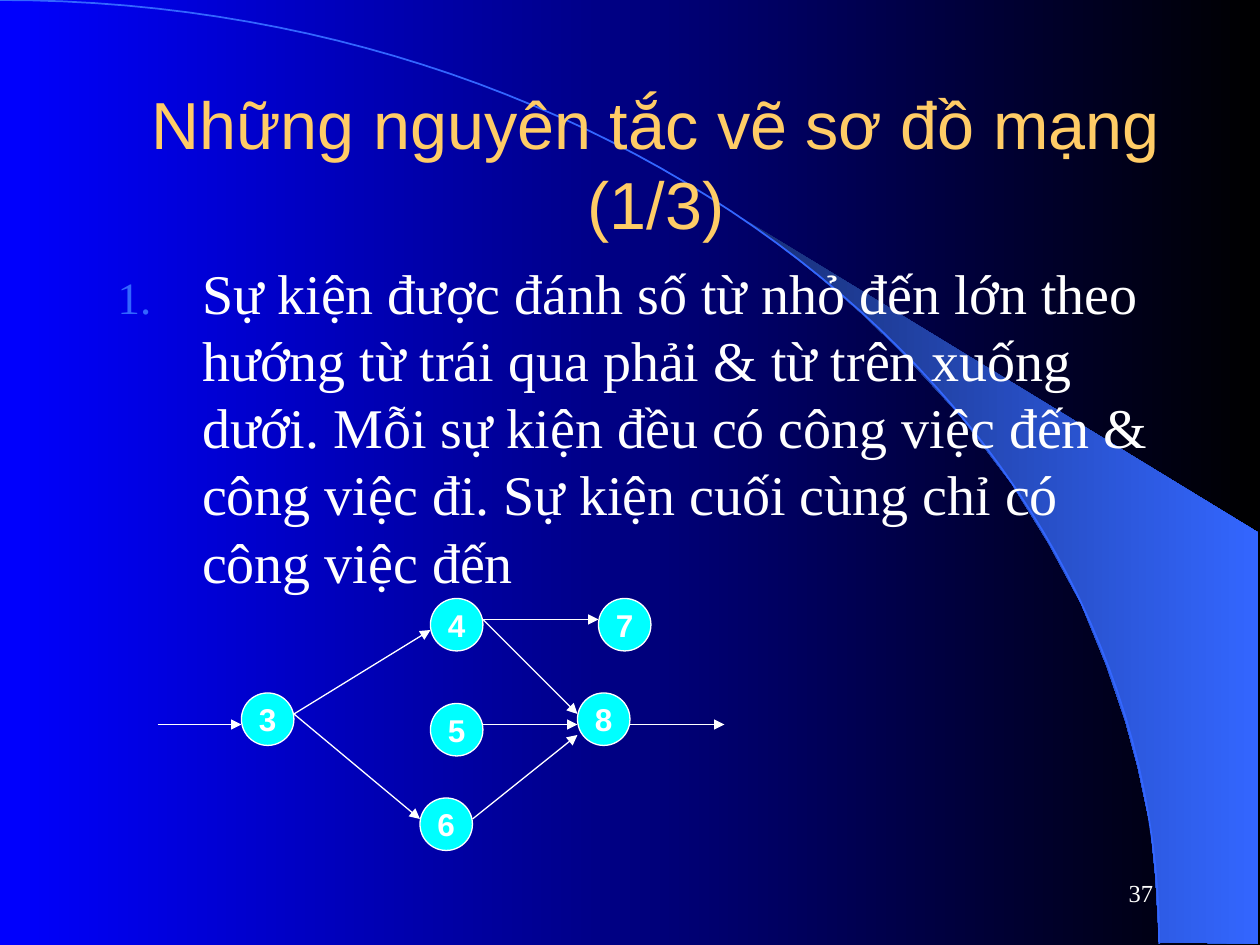
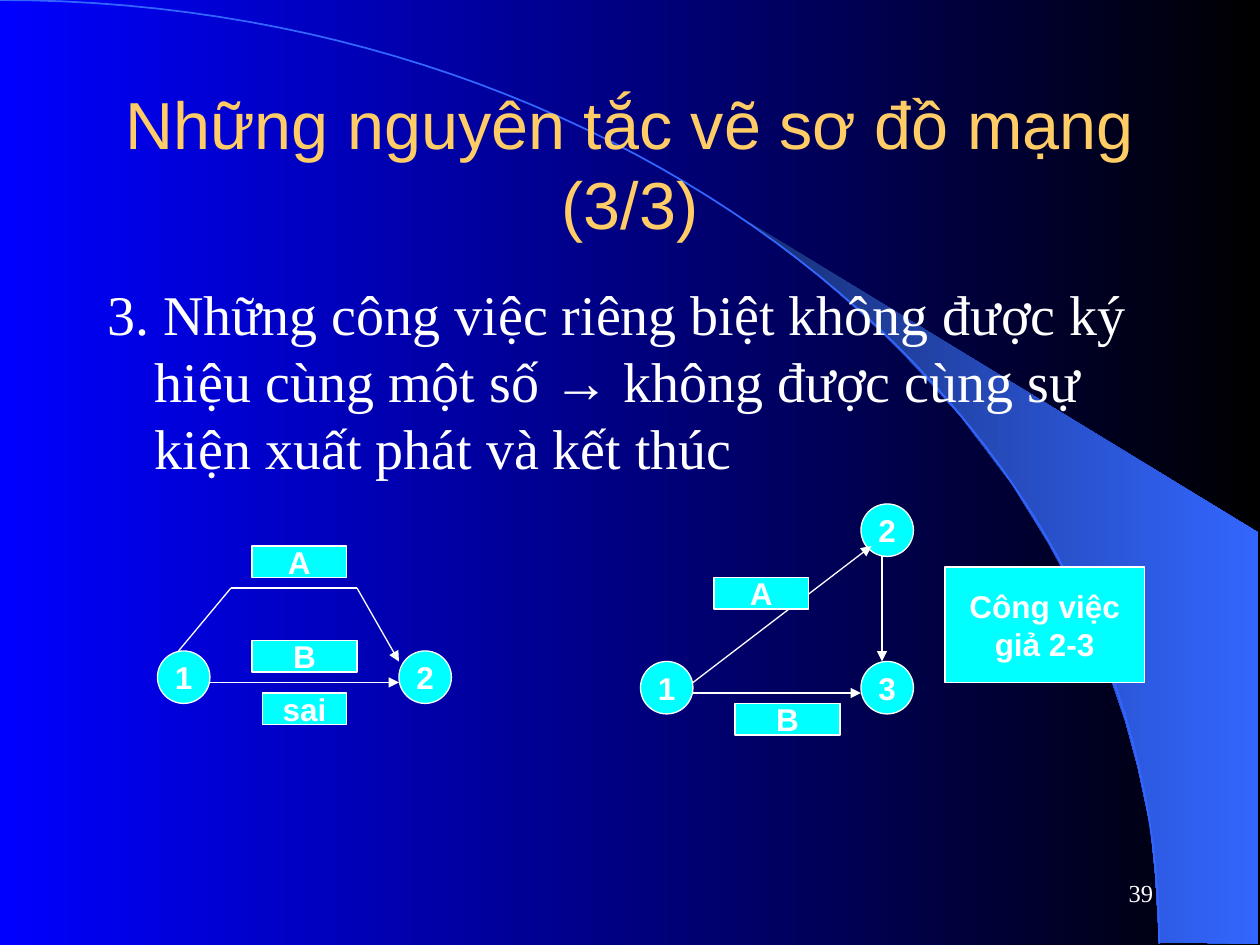
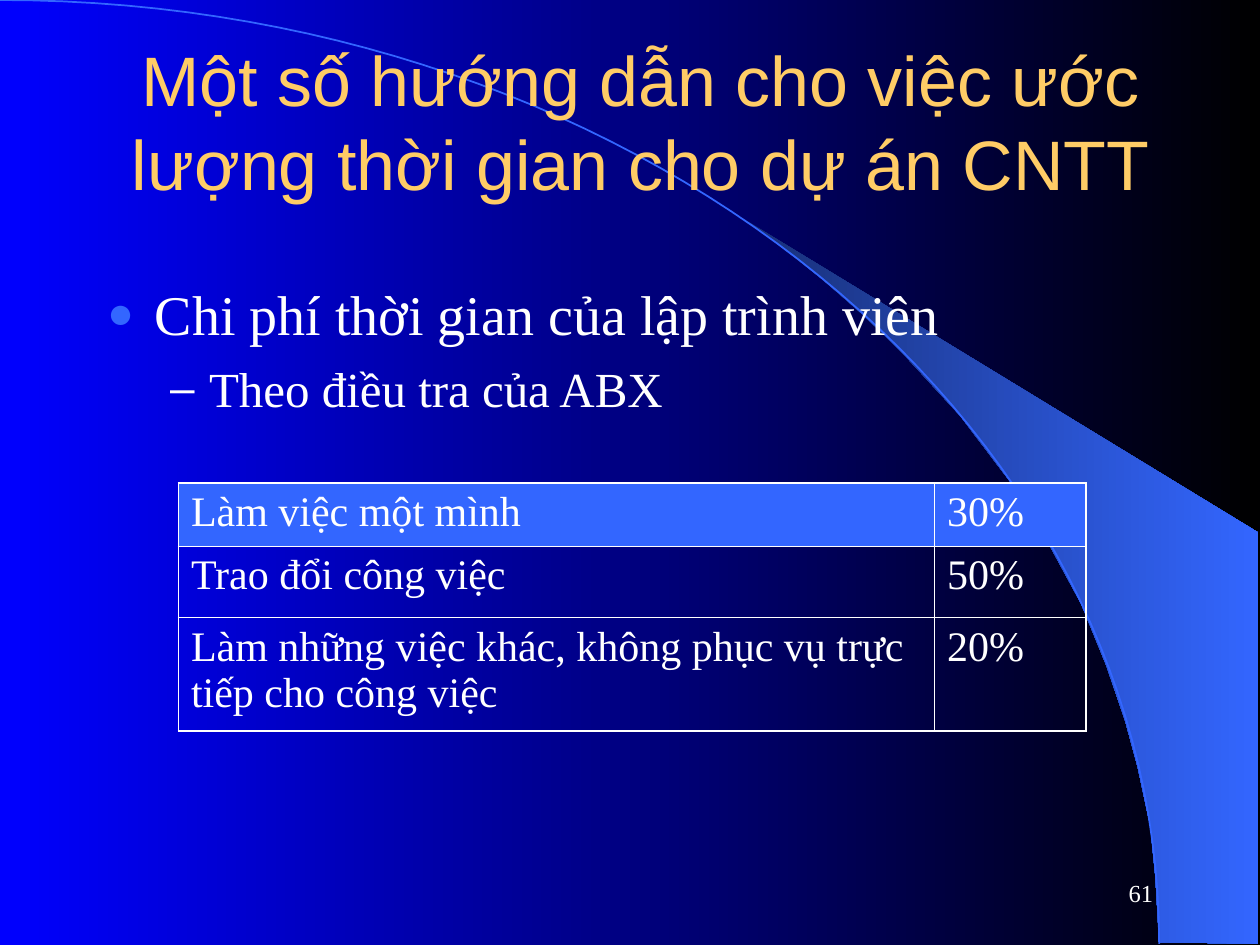
import dataclasses

import lxml.etree
import pptx
import pptx.dml.color
import pptx.enum.shapes
import pptx.enum.text
import pptx.oxml.ns
import pptx.util

SHAPES = pptx.enum.shapes.MSO_SHAPE
ALIGN = pptx.enum.text.PP_ALIGN
ANCHOR = pptx.enum.text.MSO_ANCHOR
AUTO_SIZE = pptx.enum.text.MSO_AUTO_SIZE


@dataclasses.dataclass(frozen=True)
class Theme:
    blue: str = "0000FF"
    black: str = "000000"
    navy: str = "182F76"
    accent: str = "3366FF"
    gold: str = "FFCC66"
    white: str = "FFFFFF"
    cyan: str = "00FFFF"
    sans: str = "Arial"
    serif: str = "Times New Roman"
    body_size: int = 32
    sub_size: int = 28
    table_size: int = 24
    label_size: int = 18
    number_size: int = 14
    thin: float = 0.75


THEME = Theme()

# Layout grid: 12 cells to the inch, so a slide is 120 by 90 cells
CELL = pptx.util.Inches(1) // 12
NODE = 5
NUMBER_BOX = (86, 82, 25, 6)
BODY_BOX = (9, 26, 102, 54)

# Master decoration, in inches
WEDGE = [
    (9.2, 7.48), (9.99, 7.49), (9.99, 4.23), (5.89, 1.73), (6.24, 1.99), (6.53, 2.22),
    (6.85, 2.5), (7.16, 2.8), (7.62, 3.3), (8.03, 3.84), (8.32, 4.31), (8.58, 4.79),
    (8.78, 5.28), (8.93, 5.72), (9.03, 6.09), (9.13, 6.56), (9.17, 6.96),
]
ARC_CONTROLS = [(0, 0), (5.08, 0), (9.2, 3.35), (9.2, 7.49)]
ARC_STEPS = 60

# Paragraph styles: indents in inches, bullet as (tag, attributes, colour, percent)
NUMBERED = dict(level=0, size=THEME.body_size, indent=(0.67, -0.67),
                bullet=("buAutoNum", {"type": "arabicPeriod"}, THEME.accent, 80))
PLAIN = dict(level=0, size=THEME.body_size, indent=(0.38, -0.38), bullet=None)
DOT = dict(PLAIN, bullet=("buChar", {"char": "●"}, THEME.accent, 80))
DASH = dict(level=1, size=THEME.sub_size, indent=(0.81, -0.31),
            bullet=("buChar", {"char": "–"}, THEME.white, 90))

# Content: boxes are left, top, width, height in cells; arrows run from point to point
SLIDES = [
    dict(
        number="37",
        title="Những nguyên tắc vẽ sơ đồ mạng (1/3)",
        title_box=(9, 8, 107, 15), title_size=38,
        body_box=(10, 24, 102, 58),
        body=[(NUMBERED, [
            "Sự kiện được đánh số từ nhỏ đến lớn theo hướng từ trái qua phải & từ trên "
            "xuống dưới. Mỗi sự kiện đều có công việc đến & công việc đi. Sự kiện cuối "
            "cùng chỉ có công việc đến"])],
        nodes=[("3", 23, 66), ("4", 41, 57), ("7", 57, 57),
               ("5", 41, 67), ("6", 40, 76), ("8", 55, 66)],
        arrows=[((15, 69), (23, 69)), ((28, 68), (41, 60)), ((28, 68), (40, 78)),
                ((46, 59), (57, 59)), ((46, 69), (55, 69)), ((60, 69), (69, 69)),
                ((45, 78), (55, 70)), ((46, 59), (55, 68))],
    ),
    dict(
        number="39",
        title="Những nguyên tắc vẽ sơ đồ mạng (3/3)",
        title_box=(9, 8, 102, 15), title_size=38,
        body_box=BODY_BOX,
        body=[(PLAIN, [
            "3. Những công việc riêng biệt không được ký hiệu cùng một số ", "→",
            " không được cùng sự kiện xuất phát và kết thúc"])],
        nodes=[("1", 15, 62), ("2", 38, 62), ("3", 82, 63), ("2", 82, 48), ("1", 61, 63)],
        # A path through several points carries its arrowhead on the last leg
        arrows=[((20, 65), (38, 65)), ((17, 62), (22, 56), (34, 56), (38, 63)),
                ((66, 66), (82, 66)), ((66, 65), (83, 52)), ((84, 53), (84, 63))],
        labels=[("sai", (25, 66, 8, 3)), ("B", (24, 61, 10, 3)), ("A", (24, 52, 9, 3)),
                ("Công việc\ngiả 2-3", (90, 54, 19, 11)),
                ("A", (68, 55, 9, 3)), ("B", (70, 67, 10, 3))],
    ),
    dict(
        number="61",
        title="Một số hướng dẫn cho việc ước lượng thời gian cho dự án CNTT",
        title_box=(10, 4, 102, 15), title_size=40,
        body_box=BODY_BOX,
        body=[(DOT, ["Chi phí thời gian của lập trình viên"]),
              (DASH, ["Theo điều tra của ABX"])],
        table=dict(
            corner=(17, 46), columns=[6, 1.2], rows=[0.5, 0.57, 0.9],
            cells=[("Làm việc một mình", "30%"),
                   ("Trao đổi công việc", "50%"),
                   ("Làm những việc khác, không phục vụ trực tiếp cho công việc", "20%")]),
    ),
]


def rgb(value):
    return pptx.dml.color.RGBColor.from_string(value)


def cells(values):
    return [CELL * value for value in values]


def set_values(target, **values):
    for name, value in values.items():
        setattr(target, name, value)


def add_xml(parent, tag, **attributes):
    return lxml.etree.SubElement(parent, pptx.oxml.ns.qn("a:" + tag), attributes)


def place(shape, box):
    set_values(shape, **dict(zip(("left", "top", "width", "height"), cells(box))))


def style_font(font, name, size, color=THEME.white, bold=False):
    set_values(font, name=name, size=pptx.util.Pt(size), bold=bold)
    font.color.rgb = rgb(color)


def style_line(line, color=THEME.white, width=THEME.thin):
    line.color.rgb = rgb(color)
    line.width = pptx.util.Pt(width)


def fill_gradient(fill, start, end):
    fill.gradient()
    fill.gradient_angle = 0
    for stop, color, position in zip(fill.gradient_stops, (start, end), (0, 1)):
        stop.color.rgb = rgb(color)
        stop.position = position


def write_line(frame, text, alignment, *font_values, **font_options):
    frame.vertical_anchor = ANCHOR.MIDDLE
    frame.text = text
    for paragraph in frame.paragraphs:
        paragraph.alignment = alignment
        for run in paragraph.runs:
            style_font(run.font, *font_values, **font_options)


# Master: background, wedge and arc
def bezier_point(controls, share):
    weights = [(1 - share) ** 3, 3 * share * (1 - share) ** 2,
               3 * share ** 2 * (1 - share), share ** 3]
    return tuple(sum(w * point[axis] for w, point in zip(weights, controls))
                 for axis in (0, 1))


def add_outline(slide, points, close):
    points = [tuple(pptx.util.Inches(value) for value in point) for point in points]
    builder = slide.shapes.build_freeform(*points[0], scale=1.0)
    builder.add_line_segments(points[1:], close=close)
    shape = builder.convert_to_shape()
    shape.shadow.inherit = False
    return shape


def decorate_master(presentation, slide):
    master = presentation.slide_master
    fill_gradient(master.background.fill, THEME.blue, THEME.black)
    wedge = add_outline(slide, WEDGE, close=True)
    fill_gradient(wedge.fill, THEME.navy, THEME.accent)
    wedge.line.fill.background()
    curve = [bezier_point(ARC_CONTROLS, step / ARC_STEPS) for step in range(ARC_STEPS + 1)]
    arc = add_outline(slide, curve, close=False)
    arc.fill.background()
    style_line(arc.line, THEME.accent, 1)
    # Shapes can only be drawn on a slide, so they are moved behind the master's own
    for index, shape in enumerate((wedge, arc)):
        shape.element.nvSpPr.cNvPr.set("id", str(100 + index))
        master.shapes.element.insert(2 + index, shape.element)


# Title, body and slide number
def add_bullet(paragraph, indent, bullet):
    properties = paragraph._p.get_or_add_pPr()
    for name, inches in zip(("marL", "indent"), indent):
        properties.set(name, str(pptx.util.Inches(inches)))
    if bullet is None:
        add_xml(properties, "buNone")
        return
    tag, attributes, color, percent = bullet
    add_xml(add_xml(properties, "buClr"), "srgbClr", val=color)
    add_xml(properties, "buSzPct", val=str(percent * 1000))
    add_xml(properties, tag, **attributes)


def add_texts(slide, content):
    title = slide.shapes.title
    place(title, content["title_box"])
    title.text_frame.auto_size = AUTO_SIZE.NONE
    write_line(title.text_frame, content["title"], ALIGN.CENTER,
               THEME.sans, content["title_size"], THEME.gold)

    body = slide.placeholders[1]
    place(body, content["body_box"])
    frame = body.text_frame
    frame.auto_size = AUTO_SIZE.NONE
    for index, (style, texts) in enumerate(content["body"]):
        paragraph = frame.add_paragraph() if index else frame.paragraphs[0]
        add_bullet(paragraph, style["indent"], style["bullet"])
        paragraph.level = style["level"]
        paragraph.space_before = pptx.util.Pt(7 if index else 0)
        for text in texts:
            run = paragraph.add_run()
            run.text = text
            style_font(run.font, THEME.sans if text == "→" else THEME.serif, style["size"])

    number = slide.shapes.add_textbox(*cells(NUMBER_BOX))
    number.text_frame.word_wrap = True
    write_line(number.text_frame, content["number"], ALIGN.RIGHT,
               THEME.serif, THEME.number_size)


# Network diagram
def add_label(slide, kind, text, box):
    shape = slide.shapes.add_shape(kind, *cells(box))
    shape.shadow.inherit = False
    shape.fill.solid()
    shape.fill.fore_color.rgb = rgb(THEME.cyan)
    style_line(shape.line)
    shape.text_frame.word_wrap = False
    write_line(shape.text_frame, text, ALIGN.CENTER, THEME.sans, THEME.label_size, bold=True)


def add_arrow(slide, points):
    for start, end in zip(points, points[1:]):
        connector = slide.shapes.add_connector(
            pptx.enum.shapes.MSO_CONNECTOR.STRAIGHT, *cells(start + end))
        style_line(connector.line)
        if end == points[-1]:
            add_xml(connector.line._get_or_add_ln(), "tailEnd", type="triangle")
        add_xml(connector.element.spPr, "effectLst")


def add_network(slide, content):
    for text, left, top in content.get("nodes", []):
        add_label(slide, SHAPES.OVAL, text, (left, top, NODE, NODE))
    for points in content.get("arrows", []):
        add_arrow(slide, points)
    for text, box in content.get("labels", []):
        add_label(slide, SHAPES.RECTANGLE, text, box)


# Table: thick outer border, thin inner border
def add_borders(cell, outer_sides):
    properties = cell._tc.get_or_add_tcPr()
    for index, (tag, outer) in enumerate(zip(("lnL", "lnR", "lnT", "lnB"), outer_sides)):
        width = pptx.util.Pt(1.08 if outer else 0.45)
        border = lxml.etree.Element(pptx.oxml.ns.qn("a:" + tag), {"w": str(width)})
        add_xml(add_xml(border, "solidFill"), "srgbClr", val=THEME.white)
        properties.insert(index, border)


def add_time_table(slide, columns, rows, corner, cells_text):
    size = [pptx.util.Inches(sum(lengths)) for lengths in (columns, rows)]
    table = slide.shapes.add_table(len(rows), len(columns), *cells(corner), *size).table
    set_values(table, first_row=False, horz_banding=False)
    for column, width in zip(table.columns, columns):
        column.width = pptx.util.Inches(width)
    for row, height in zip(table.rows, rows):
        row.height = pptx.util.Inches(height)
    for y, texts in enumerate(cells_text):
        for x, text in enumerate(texts):
            cell = table.cell(y, x)
            write_line(cell.text_frame, text, ALIGN.LEFT, THEME.serif, THEME.table_size)
            cell.vertical_anchor = ANCHOR.TOP
            if y == 0:
                cell.fill.solid()
                cell.fill.fore_color.rgb = rgb(THEME.accent)
            else:
                cell.fill.background()
            add_borders(cell, (x == 0, x == len(columns) - 1, y == 0, y == len(rows) - 1))


def main():
    presentation = pptx.Presentation()
    set_values(presentation, slide_width=120 * CELL, slide_height=90 * CELL)
    for index, content in enumerate(SLIDES):
        slide = presentation.slides.add_slide(presentation.slide_layouts[1])
        if index == 0:
            decorate_master(presentation, slide)
        add_texts(slide, content)
        add_network(slide, content)
        if "table" in content:
            table = content["table"]
            add_time_table(slide, table["columns"], table["rows"],
                           table["corner"], table["cells"])
    presentation.save("out.pptx")


if __name__ == "__main__":
    main()
